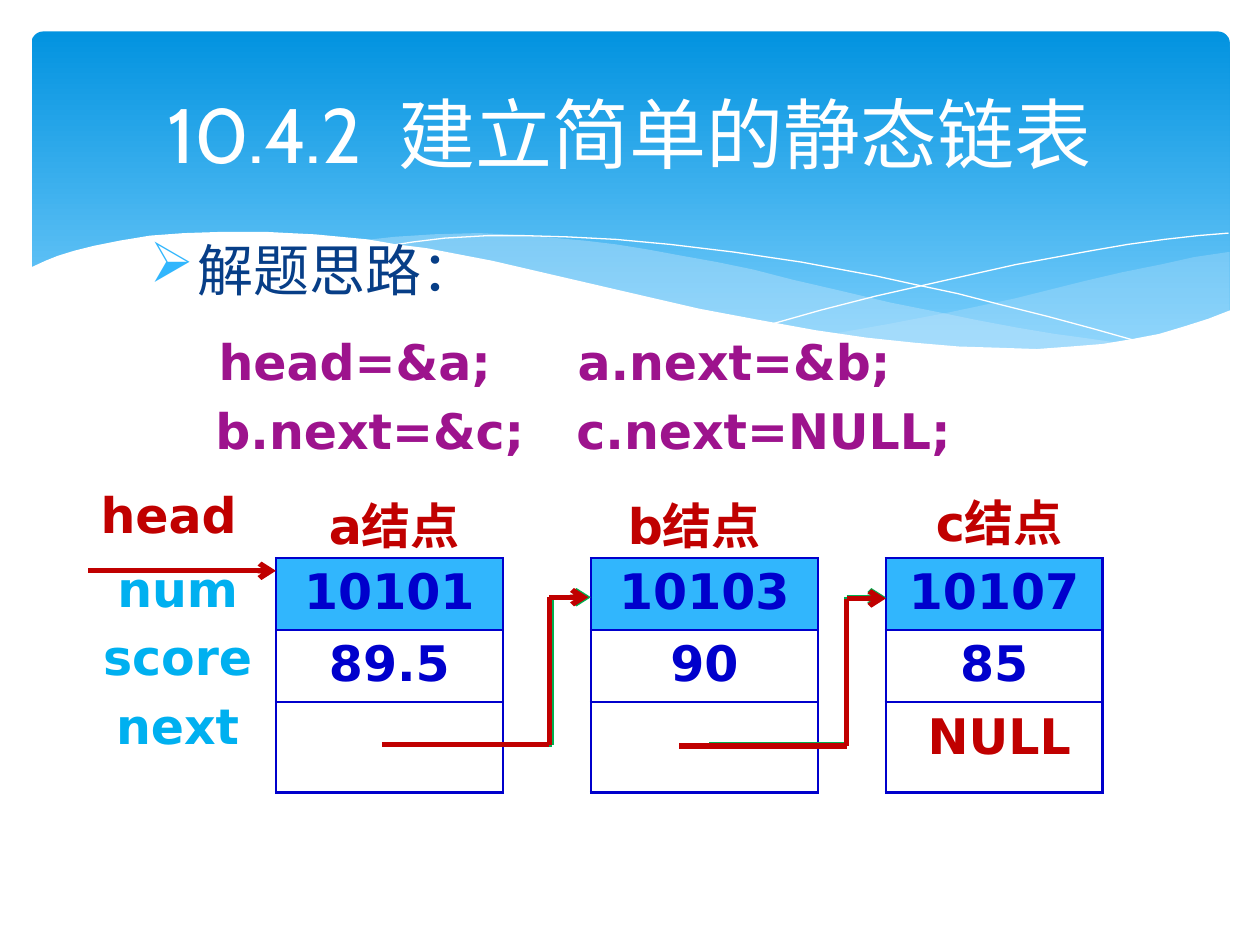
from dataclasses import dataclass

from lxml import etree
from pptx import Presentation
from pptx.dml.color import RGBColor
from pptx.enum import shapes, text
from pptx.oxml import ns
from pptx.util import Inches, Pt


@dataclass(frozen=True)
class Theme:
    font: str = "DejaVu Sans"
    title_font: str = "Cabin"
    title_size: int = 44
    bullet_size: int = 32
    size: int = 28
    white: str = "FFFFFF"
    sky_top: str = "0293E0"
    sky_bottom: str = "83D3FE"
    wave: str = "C6E7FC"
    accent: str = "31B6FD"
    navy: str = "073E87"
    value: str = "0000CC"
    red: str = "C00000"
    green: str = "00B050"
    cyan: str = "00B0F0"
    purple: str = "9D138D"


T = Theme()
rgb = RGBColor.from_string
prs = Presentation()
prs.slide_width, prs.slide_height = Inches(10), Inches(7.5)
COL, ROW = prs.slide_width / 100, prs.slide_height / 75
slide = prs.slides.add_slide(prs.slide_layouts[6])


def add_text(words, x, y, w, h, color, size=T.size, font=T.font, bold=True, align=text.PP_ALIGN.CENTER):
    sp = slide.shapes.add_textbox(int(x * COL), int(y * ROW), int(w * COL), int(h * ROW))
    tf = sp.text_frame
    tf.word_wrap = True
    p = tf.paragraphs[0]
    p.alignment = align
    for word in words:
        p.add_run().text = word
    p.font.name, p.font.size, p.font.bold = font, Pt(size), bold
    p.font.color.rgb = rgb(color)
    return tf


def add_line(x1, y1, x2, y2, color, arrow=False):
    cn = slide.shapes.add_connector(
        shapes.MSO_CONNECTOR.STRAIGHT, int(x1 * COL), int(y1 * ROW), int(x2 * COL), int(y2 * ROW))
    cn.line.color.rgb, cn.line.width = rgb(color), Pt(3)
    if arrow:
        etree.SubElement(cn.line._get_or_add_ln(), ns.qn("a:tailEnd"), type="arrow")
    etree.SubElement(cn._element.spPr, ns.qn("a:effectLst"))


sky = slide.shapes.add_shape(
    shapes.MSO_SHAPE.ROUNDED_RECTANGLE, int(2.5 * COL), int(2.5 * ROW), int(95.1 * COL), int(27 * ROW))
sky.adjustments[0] = 0.034
sky.shadow.inherit = False
sky.line.fill.background()
sky.fill.gradient()
sky.fill.gradient_angle = 270
for stop, color, position in zip(sky.fill.gradient_stops, (T.sky_top, T.sky_bottom), (0, 1)):
    stop.color.rgb, stop.position = rgb(color), position

right_wave = [
    (97.5, 20), (94.8, 20.4), (92.1, 21), (89.1, 21.6), (86.1, 22.3), (80.5, 23.7), (75.3, 24.8),
    (70.6, 25.7), (66.1, 26.5), (69.1, 26.9), (71.8, 27.3), (74.5, 27.5), (78.1, 27.7), (81.4, 27.8),
    (84.4, 27.7), (87.2, 27.4), (89.7, 27), (92.1, 26.5), (94.2, 25.9), (96.3, 25.2), (97.6, 24.7),
    (97.6, 20)]
middle_wave = [
    (89.3, 27.3), (86.6, 26.9), (83.7, 26.5), (80.7, 26), (77.5, 25.4), (74.1, 24.7), (70.6, 24),
    (66.8, 23.1), (62.9, 22.2), (59.8, 21.4), (56.9, 20.8), (54.1, 20.3), (51.4, 19.8), (48.9, 19.4),
    (46.4, 19.1), (44.1, 18.9), (42, 18.7), (38, 18.5), (34.4, 18.6), (31.3, 18.8), (28.6, 19.1),
    (32.3, 19.6), (36.2, 20.3), (40.4, 21.1), (44.9, 22.2), (49.1, 23.2), (53, 24), (58.4, 25.2),
    (63.4, 26.1), (68, 26.8), (72.2, 27.4), (76.1, 27.7), (79.6, 27.9), (82.8, 27.8), (85.7, 27.7),
    (89.3, 27.3)]
falling_curve = [
    (30.9, 19.5), (32.8, 19.2), (35.3, 18.9), (38.7, 18.7), (41.6, 18.7), (45, 18.8), (48.9, 19),
    (53.2, 19.4), (58.2, 20), (63.6, 20.8), (69.5, 21.9), (72.7, 22.6), (76, 23.3), (79.5, 24.2),
    (83.1, 25.1), (86.8, 26.1), (90.7, 27.2)]
rising_curve = [
    (61.3, 25.7), (65.2, 24.6), (69.5, 23.5), (74.8, 22.3), (80.6, 21), (86.6, 19.9), (89.5, 19.4),
    (92.4, 19), (95.1, 18.7), (97.5, 18.5)]
white_wave = [
    (97.7, 24.6), (95.9, 25.3), (94, 25.9), (92, 26.5), (89.9, 26.9), (87.5, 27.3), (85, 27.5),
    (82.3, 27.7), (79.3, 27.6), (76.1, 27.5), (72.6, 27.2), (68.8, 26.8), (64.7, 26.2), (60.3, 25.4),
    (55.5, 24.5), (50.3, 23.3), (44.7, 22), (39.1, 20.7), (36.5, 20.2), (33.9, 19.7), (31.5, 19.4),
    (29.2, 19), (27.1, 18.8), (25, 18.6), (23, 18.5), (21.1, 18.4), (17.6, 18.4), (14.6, 18.5),
    (11.9, 18.7), (9.5, 19.1), (7.5, 19.5), (5.9, 19.9), (4.6, 20.3), (3.6, 20.7), (2.3, 21.3),
    (2.3, 32.9), (97.7, 32.9)]

for points, color, alpha in [
        (right_wave, T.wave, 29), (middle_wave, T.wave, 40), (falling_curve, None, 0),
        (rising_curve, None, 0), (white_wave, T.white, 100)]:
    path = [(int(x * COL), int(y * ROW)) for x, y in points]
    fb = slide.shapes.build_freeform(*path[0])
    fb.add_line_segments(path[1:], close=color is not None)
    sp = fb.convert_to_shape()
    sp.shadow.inherit = False
    if color:
        sp.fill.solid()
        sp.fill.fore_color.rgb = rgb(color)
        solid = sp._element.spPr.find(ns.qn("a:solidFill"))
        etree.SubElement(solid[0], ns.qn("a:alpha"), val=str(alpha * 1000))
        sp.line.fill.background()
    else:
        sp.fill.background()
        sp.line.color.rgb, sp.line.width = rgb(T.white), Pt(0)

tf = add_text(["解题思路："], 10.9, 18.2, 80.5, 12.3, T.navy, T.bullet_size, bold=False,
              align=text.PP_ALIGN.LEFT)
pPr = tf.paragraphs[0]._p.get_or_add_pPr()
pPr.set("marL", str(int(3.8 * COL)))
pPr.set("indent", str(int(-3.8 * COL)))
bullet_color = etree.Element(ns.qn("a:buClr"))
etree.SubElement(bullet_color, ns.qn("a:srgbClr"), val=T.accent)
bullet = etree.Element(ns.qn("a:buChar"), char="➢")
pPr.insert(0, bullet_color)
pPr.insert(1, bullet)

for x, w, values in [
        (21.9, 18, ("10101", "89.5", "")), (46.9, 18, ("10103", "90", "")), (70.3, 17.2, ("10107", "85", ""))]:
    table = slide.shapes.add_table(3, 1, int(x * COL), int(44.3 * ROW), int(w * COL), int(18.6 * ROW)).table
    for row, height, value, fill in zip(table.rows, (5.7, 5.7, 7.2), values, (T.accent, T.white, T.white)):
        row.height = int(height * ROW)
        cell = row.cells[0]
        tcPr = cell._tc.get_or_add_tcPr()
        for side in ("lnL", "lnR", "lnT", "lnB"):
            ln = etree.SubElement(tcPr, ns.qn("a:" + side), w=str(Pt(1.47)))
            solid = etree.SubElement(ln, ns.qn("a:solidFill"))
            etree.SubElement(solid, ns.qn("a:srgbClr"), val=T.value)
        cell.fill.solid()
        cell.fill.fore_color.rgb = rgb(fill)
        if value:
            p = cell.text_frame.paragraphs[0]
            p.text, p.alignment = value, text.PP_ALIGN.CENTER
            p.font.name, p.font.size, p.font.bold = T.font, Pt(T.size), True
            p.font.color.rgb = rgb(T.value)

for x1, y1, x2, y2, x3, color in [
        (30.5, 59.1, 43.8, 47.4, 46.9, T.green), (56.3, 59.1, 67.2, 47.4, 70.3, T.green),
        (30.3, 59.1, 43.6, 47.4, 46.7, T.red), (53.9, 59.2, 67.2, 47.5, 70.3, T.red)]:
    add_line(x2, y2, x3, y2, color, arrow=True)
    add_line(x1, y1, x2, y1, color)
    add_line(x2, y1, x2, y2, color)
add_line(7, 45.3, 21.9, 45.3, T.red, arrow=True)

for words, x, y, w, color in [
        ("a结点", 22.7, 38.8, 17.2, T.red), ("b结点", 46.9, 38.8, 16.4, T.red),
        ("c结点", 71.9, 38.6, 14.8, T.red), ("NULL", 71.9, 55.5, 14.8, T.red),
        ("num", 6.3, 43.8, 15.6, T.cyan), ("score", 6.3, 49.2, 15.6, T.cyan),
        ("next", 6.3, 54.7, 15.6, T.cyan),
        ("head=&a;", 12.9, 25.8, 30.5, T.purple), ("a.next=&b;", 43, 25.8, 30.5, T.purple),
        ("b.next=&c;", 14.1, 31.3, 30.5, T.purple), ("c.next=NULL;", 43, 31.3, 35.2, T.purple)]:
    add_text([words], x, y, w, 5.7, color)
add_text(["head"], 7, 38, 13.3, 5.7, T.red, align=text.PP_ALIGN.LEFT)

tf = add_text(["10.4.2", " ", "建立简单的静态链表"], 5, 3.7, 90, 13.7, T.white, T.title_size,
              T.title_font, bold=False)
tf.vertical_anchor = text.MSO_ANCHOR.MIDDLE
tf.paragraphs[0].runs[1]._r.get_or_add_rPr().set("spc", "1100")

prs.save("out.pptx")
